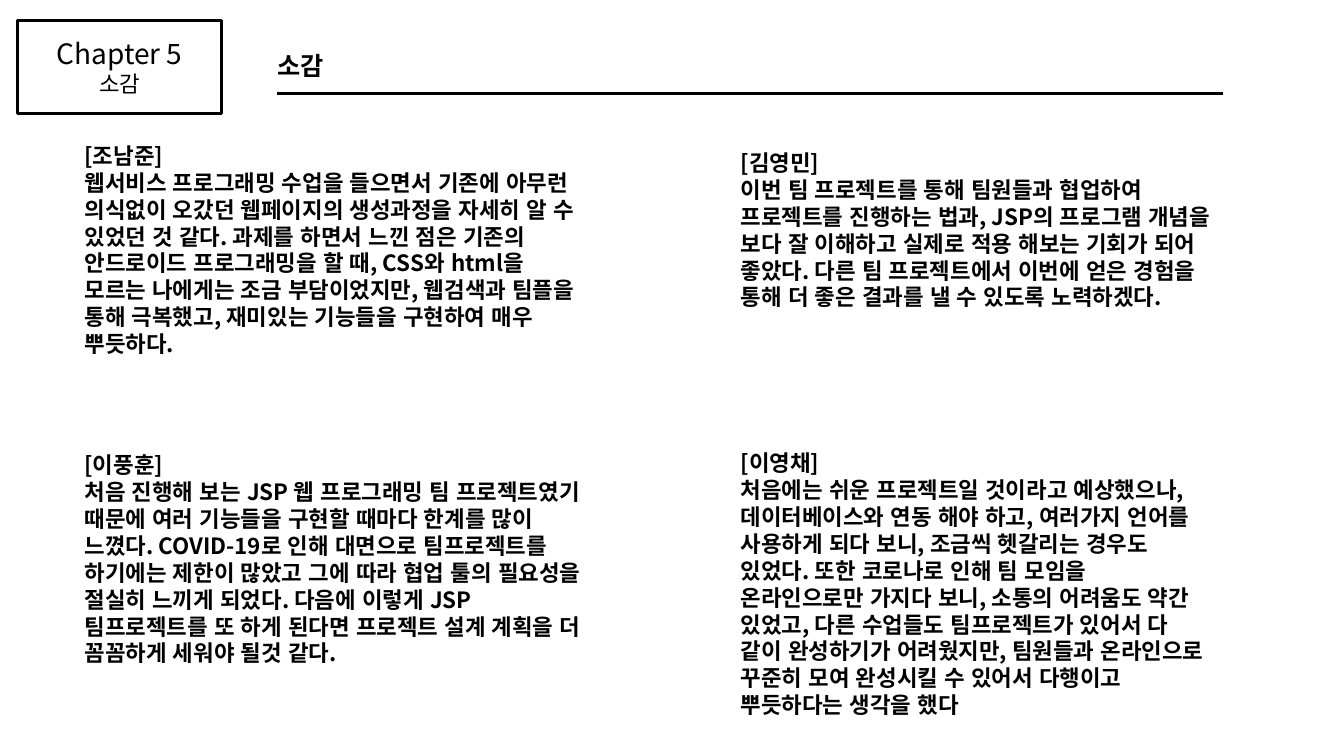
from lxml import etree
from pptx import Presentation
from pptx import util as u
from pptx.dml.color import RGBColor
from pptx.enum import lang, shapes, text
from pptx.oxml.ns import qn

NOTES = [
    (53.3, 98, 368.6, 163, "[조남준]",
     "웹서비스 프로그래밍 수업을 들으면서 기존에 아무런 의식없이 오갔던 웹페이지의 생성과정을 자세히 알 수 있었던 것 같다. "
     "과제를 하면서 느낀 점은 기존의 안드로이드 프로그래밍을 할 때, CSS와 html을 모르는 나에게는 조금 부담이었지만, "
     "웹검색과 팀플을 통해 극복했고, 재미있는 기능들을 구현하여 매우 뿌듯하다."),
    (522, 103, 351.4, 143.3, "[김영민]",
     "이번 팀 프로젝트를 통해 팀원들과 협업하여 프로젝트를 진행하는 법과, JSP의 프로그램 개념을 보다 잘 이해하고 "
     "실제로 적용 해보는 기회가 되어 좋았다. 다른 팀 프로젝트에서 이번에 얻은 경험을  통해 더 좋은 결과를 낼 수 있도록 노력하겠다."),
    (53.3, 319, 368.6, 163, "[이풍훈]",
     "처음 진행해 보는 JSP 웹 프로그래밍 팀 프로젝트였기 때문에 여러 기능들을 구현할 때마다 한계를 많이 느꼈다. "
     "COVID-19로 인해 대면으로 팀프로젝트를  하기에는 제한이 많았고 그에 따라 협업 툴의 필요성을 절실히 느끼게 되었다. "
     "다음에 이렇게 JSP 팀프로젝트를 또 하게 된다면 프로젝트 설계 계획을 더 꼼꼼하게 세워야 될것 같다."),
    (522, 317.5, 351.4, 201, "[이영채]",
     "처음에는 쉬운 프로젝트일 것이라고 예상했으나, 데이터베이스와 연동 해야 하고, 여러가지 언어를 사용하게 되다 보니, "
     "조금씩 헷갈리는 경우도 있었다. 또한 코로나로 인해 팀 모임을 온라인으로만 가지다 보니, 소통의 어려움도 약간 있었고, "
     "다른 수업들도 팀프로젝트가 있어서 다 같이 완성하기가 어려웠지만, 팀원들과 온라인으로 꾸준히 모여 완성시킬 수 있어서 "
     "다행이고 뿌듯하다는 생각을 했다"),
]


def tint(code):
    return RGBColor.from_string(code)


class Page:
    """Draws the parts of one slide in a shared style."""

    face, ink, lead = "Noto Sans CJK KR", "000000", 1.2

    def __init__(self, slide):
        self.slide = slide

    def fill(self, shape, lines, bold=False, align=text.PP_ALIGN.LEFT):
        frame = shape.text_frame
        frame.word_wrap = True
        frame.auto_size = text.MSO_AUTO_SIZE.NONE
        frame.vertical_anchor = text.MSO_ANCHOR.TOP
        for i, (words, size) in enumerate(lines):
            para = frame.add_paragraph() if i else frame.paragraphs[0]
            para.alignment = align
            para.line_spacing = u.Pt(size * self.lead)
            para.space_before = u.Pt(0)
            run = para.add_run()
            run.text = words
            font = run.font
            font.name, font.size, font.bold = self.face, u.Pt(size), bold
            font.color.rgb = tint(self.ink)
            font.language_id = lang.MSO_LANGUAGE_ID.KOREAN
            east = etree.Element(qn("a:ea"), typeface=self.face)
            run._r.rPr.find(qn("a:latin")).addnext(east)

    def title(self, box, words, size):
        head = self.slide.shapes.title
        head.left, head.top, head.width, head.height = map(u.Pt, box)
        self.fill(head, [(words, size)], bold=True)

    def label(self, box, lines, home=None, **style):
        home = home or self.slide.shapes
        self.fill(home.add_textbox(*map(u.Pt, box)), lines, **style)

    def frame(self, box, width, home):
        rect = home.add_shape(shapes.MSO_SHAPE.RECTANGLE, *map(u.Pt, box))
        rect.shadow.inherit = False
        rect.fill.background()
        rect.line.color.rgb = tint(self.ink)
        rect.line.width = u.Pt(width)

    def rule(self, ends, width):
        line = self.slide.shapes.add_connector(
            shapes.MSO_CONNECTOR.STRAIGHT, *map(u.Pt, ends))
        line.line.color.rgb = tint(self.ink)
        line.line.width = u.Pt(width)
        etree.SubElement(line._element.spPr, qn("a:effectLst"))


def main():
    deck = Presentation()
    deck.slide_width, deck.slide_height = u.Pt(960), u.Pt(540)
    page = Page(deck.slides.add_slide(deck.slide_layouts[5]))

    badge = page.slide.shapes.add_group_shape().shapes
    page.label((16.5, 22.3, 138, 51), [("Chapter 5", 20), ("소감", 16)],
               home=badge, align=text.PP_ALIGN.CENTER)
    page.frame((12.3, 14.4, 146, 67), 2, badge)

    page.title((190.8, 32.4, 388, 29), "소감", 18)
    page.rule((198, 67, 873.4, 67), 2.25)
    for *box, name, words in NOTES:
        page.label(box, [(name, 16), (words, 16)], bold=True)
    deck.save("out.pptx")


if __name__ == "__main__":
    main()
